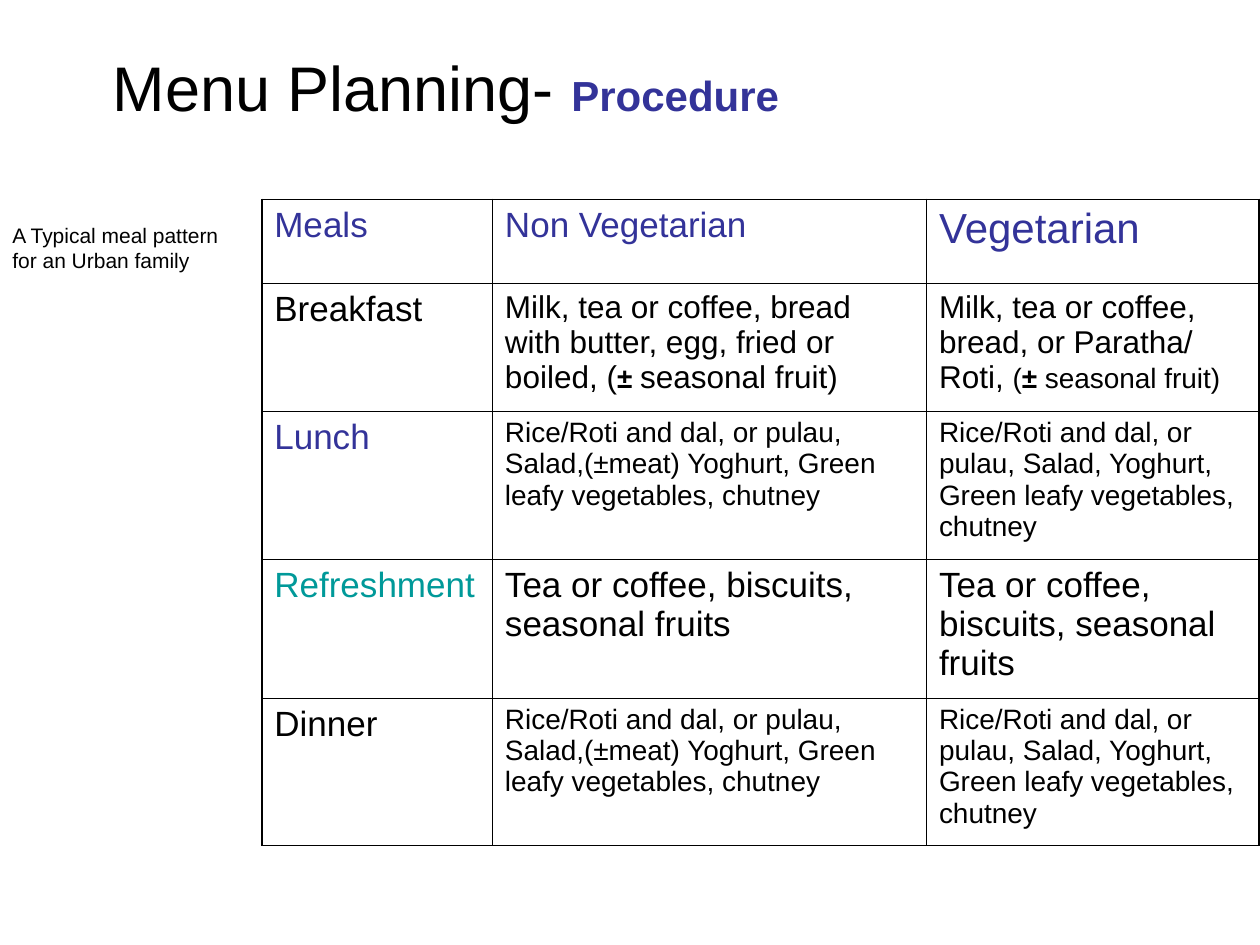
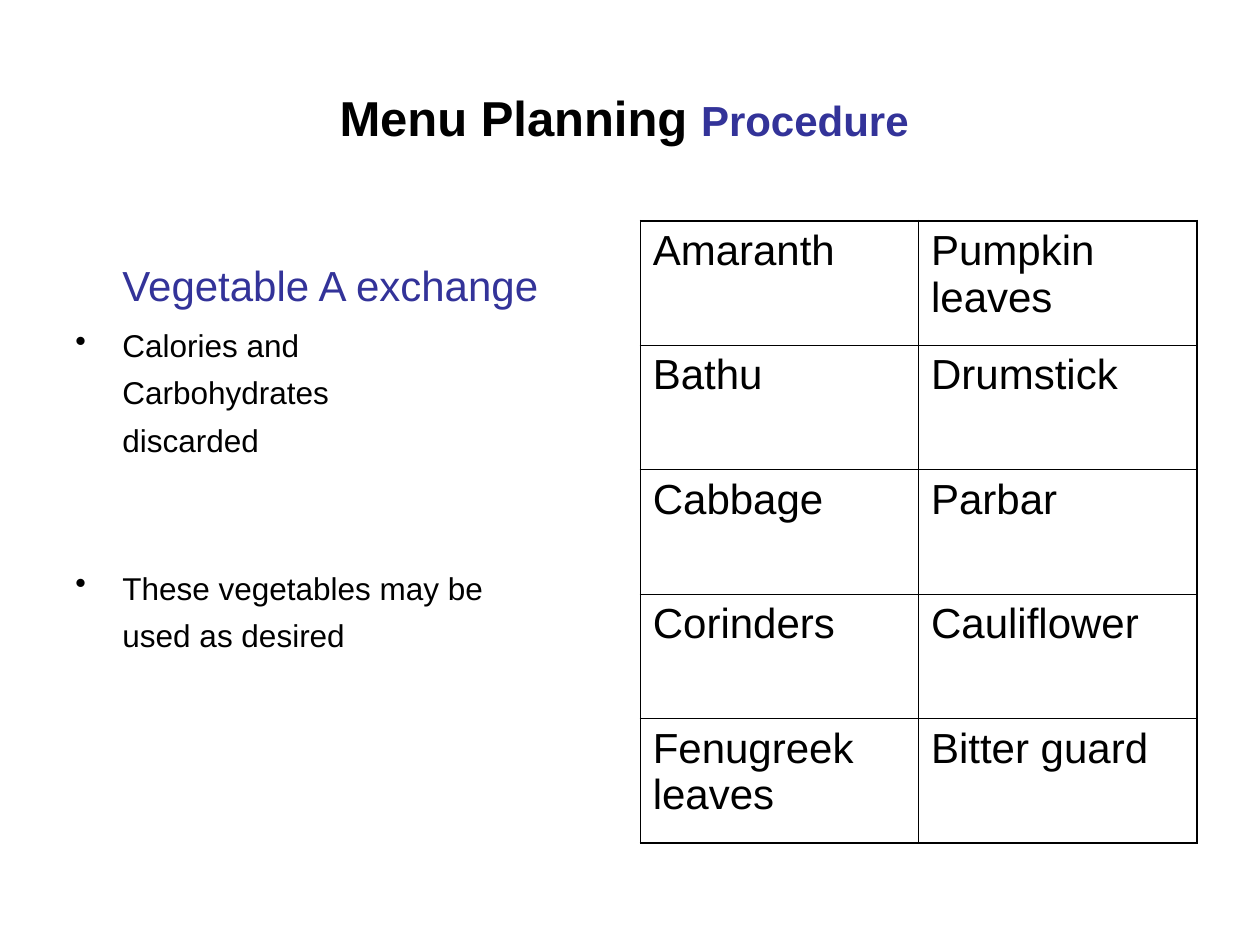
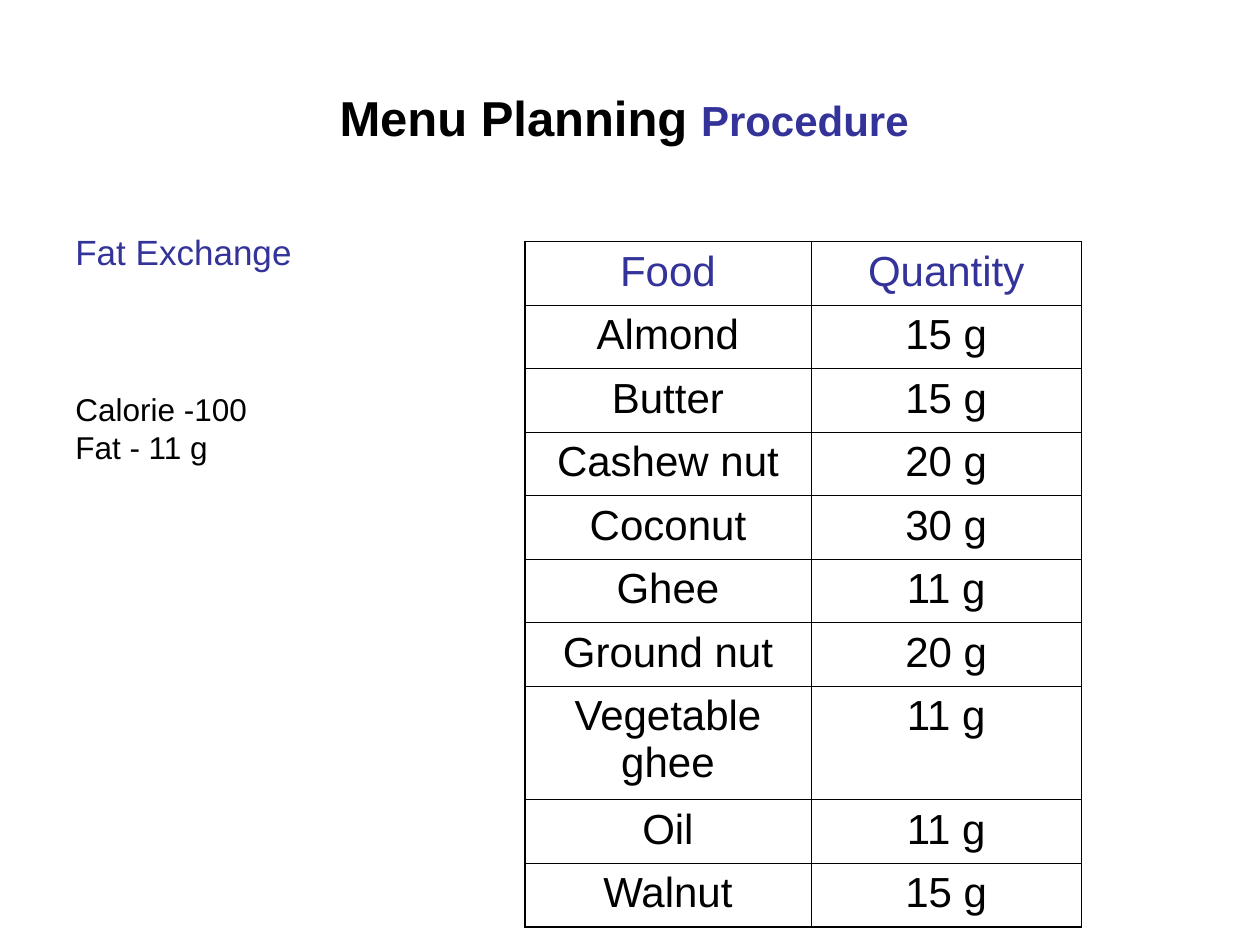
from lxml import etree
from pptx import Presentation
from pptx.dml.color import RGBColor
from pptx.enum.text import MSO_ANCHOR, PP_ALIGN
from pptx.oxml.ns import qn
from pptx.util import Cm, Pt

LEFT = PP_ALIGN.LEFT
CENTER = PP_ALIGN.CENTER
TOP = MSO_ANCHOR.TOP
MIDDLE = MSO_ANCHOR.MIDDLE

BLACK = RGBColor(0x00, 0x00, 0x00)
INDIGO = RGBColor(0x33, 0x33, 0x99)
TEAL = RGBColor(0x00, 0x99, 0x99)

FONT = "Arial"
OUTER_LINE = Pt(1.08)
INNER_LINE = Pt(0.45)
MARGIN_X = Cm(0.25)
MARGIN_Y = Cm(0.13)
MARGIN_LEFT = Cm(1.27)
BODY_TOP = Cm(4.45)
BODY_WIDTH = Cm(11.23)
BODY_HEIGHT = Cm(12.57)
HANGING_INDENT = Cm(0.95)


def write_text(text_frame, *parts, size=18, color=BLACK, bold=False, alignment=LEFT,
               space_before=0, line_spacing=None, indent=0, bullet=None):
    paragraph = text_frame.paragraphs[0]
    if paragraph.runs:
        paragraph = text_frame.add_paragraph()
        paragraph.space_before = Pt(space_before)
    paragraph.alignment = alignment
    if line_spacing:
        paragraph.line_spacing = line_spacing
    properties = paragraph._p.get_or_add_pPr()
    properties.set("marL", str(indent))
    properties.set("indent", str(-indent if bullet else 0))
    if bullet:
        etree.SubElement(properties, qn("a:buChar"), char=bullet)
    for part in parts:
        text, changes = (part, {}) if isinstance(part, str) else part
        run = paragraph.add_run()
        run.text = text
        run.font.name = FONT
        run.font.size = Pt(changes.get("size", size))
        run.font.bold = changes.get("bold", bold)
        run.font.color.rgb = changes.get("color", color)


def add_text_box(slide, left, top, width, height, anchor=TOP, margin_top=MARGIN_Y):
    text_frame = slide.shapes.add_textbox(left, top, width, height).text_frame
    text_frame.word_wrap = True
    text_frame.vertical_anchor = anchor
    text_frame.margin_left = text_frame.margin_right = MARGIN_X
    text_frame.margin_top = margin_top
    text_frame.margin_bottom = MARGIN_Y
    return text_frame


def add_title(slide, title, subtitle, size=28, bold=True, width=Cm(22.86), height=Cm(3.18)):
    text_frame = add_text_box(slide, MARGIN_LEFT, Cm(0.76), width, height, anchor=MIDDLE)
    write_text(text_frame, title, (subtitle, {"size": 24, "color": INDIGO, "bold": True}),
               size=size, bold=bold, alignment=CENTER)


def set_borders(cell, outer_sides):
    properties = cell._tc.get_or_add_tcPr()
    for side in "LRTB":
        width = OUTER_LINE if side in outer_sides else INNER_LINE
        line = etree.SubElement(properties, qn(f"a:ln{side}"), w=str(width))
        fill = etree.SubElement(line, qn("a:solidFill"))
        etree.SubElement(fill, qn("a:srgbClr"), val=str(BLACK))


def add_table(slide, left, top, column_widths, row_heights, rows, alignment=LEFT):
    table = slide.shapes.add_table(len(rows), len(column_widths), left, top,
                                   sum(column_widths), sum(row_heights)).table
    table.first_row = table.horz_banding = False
    for column, width in zip(table.columns, column_widths):
        column.width = width
    last_row, last_column = len(rows) - 1, len(column_widths) - 1
    for row_index, (height, row) in enumerate(zip(row_heights, rows)):
        table.rows[row_index].height = height
        for column_index, (parts, style) in enumerate(row):
            cell = table.cell(row_index, column_index)
            edges = {"L": column_index == 0, "R": column_index == last_column,
                     "T": row_index == 0, "B": row_index == last_row}
            set_borders(cell, [side for side, is_outer in edges.items() if is_outer])
            cell.fill.background()
            cell.margin_left = cell.margin_right = MARGIN_X
            cell.margin_top = cell.margin_bottom = MARGIN_Y
            write_text(cell.text_frame, *parts, alignment=alignment, **style)


def styled(*parts, size=24, color=BLACK):
    return parts, {"size": size, "color": color}


def build_meal_pattern(slide):
    add_title(slide, "Menu Planning- ", "Procedure", size=36, bold=False,
              width=Cm(15.44), height=Cm(1.98))
    note = add_text_box(slide, 0, BODY_TOP, Cm(5.28), Cm(1.7))
    for line in ("A Typical meal pattern", "for an Urban family"):
        write_text(note, line, size=12, space_before=3, line_spacing=0.8)

    plus_minus = ("± ", {"size": 16, "bold": True})
    main_meal = [
        styled("Rice/Roti and dal, or pulau, Salad,(±meat) Yoghurt, "
               "Green leafy vegetables, chutney", size=16),
        styled("Rice/Roti and dal, or pulau, Salad, Yoghurt, "
               "Green leafy vegetables, chutney", size=16),
    ]
    snack = styled("Tea or coffee, biscuits, seasonal fruits", size=20)
    rows = [
        [styled("Meals", size=20, color=INDIGO),
         styled("Non Vegetarian", size=20, color=INDIGO),
         styled("Vegetarian", color=INDIGO)],
        [styled("Breakfast", size=20),
         styled("Milk, tea or coffee, bread with butter, egg, fried or boiled, (",
                plus_minus, "seasonal fruit)", size=18),
         styled("Milk, tea or coffee, bread, or Paratha/ Roti, ", ("(", {"size": 16}),
                plus_minus, ("seasonal fruit)", {"size": 16}), size=18)],
        [styled("Lunch", size=20, color=INDIGO), *main_meal],
        [styled("Refreshment", size=20, color=TEAL), snack, snack],
        [styled("Dinner", size=20), *main_meal],
    ]
    add_table(slide, Cm(5.28), Cm(4.02), [Cm(4.65), Cm(8.75), Cm(6.7)],
              [Cm(1.69), Cm(2.58), Cm(2.98), Cm(2.8), Cm(2.95)], rows)


def build_vegetable_exchange(slide):
    add_title(slide, "Menu Planning ", "Procedure ")
    body = add_text_box(slide, MARGIN_LEFT, BODY_TOP, BODY_WIDTH, BODY_HEIGHT,
                        margin_top=Cm(0.78))
    write_text(body, "Vegetable A exchange", size=24, color=INDIGO, indent=HANGING_INDENT)
    for line, bullet, space_before in (
        ("Calories and", "•", 9.5),
        ("Carbohydrates", None, 5.3),
        ("discarded", None, 5.3),
        ("These vegetables may be", "•", 63),
        ("used as desired", None, 5.3),
    ):
        write_text(body, line, bullet=bullet, space_before=space_before, indent=HANGING_INDENT)

    vegetables = [
        ("Amaranth", "Pumpkin leaves"),
        ("Bathu", "Drumstick"),
        ("Cabbage", "Parbar"),
        ("Corinders", "Cauliflower"),
        ("Fenugreek leaves", "Bitter guard"),
    ]
    rows = [[styled(name) for name in pair] for pair in vegetables]
    add_table(slide, Cm(12.91), BODY_TOP, [Cm(5.61)] * 2, [Cm(2.51)] * len(rows), rows)


def build_fat_exchange(slide):
    add_title(slide, "Menu Planning ", "Procedure ")
    body = add_text_box(slide, MARGIN_LEFT, BODY_TOP, BODY_WIDTH, BODY_HEIGHT,
                        margin_top=Cm(0.2))
    write_text(body, "Fat Exchange", size=20, color=INDIGO)
    values = add_text_box(slide, MARGIN_LEFT, Cm(6.99), Cm(5.08), Cm(3.71),
                          margin_top=Cm(0.87))
    for line in ("Calorie -100", "Fat - 11 g"):
        write_text(values, line)

    foods = [
        ("Almond", 15), ("Butter", 15), ("Cashew nut", 20), ("Coconut", 30), ("Ghee", 11),
        ("Ground nut", 20), ("Vegetable ghee", 11), ("Oil", 11), ("Walnut", 15),
    ]
    rows = [[styled(heading, color=INDIGO) for heading in ("Food", "Quantity")]]
    rows += [[styled(food), styled(f"{grams} g")] for food, grams in foods]
    row_heights = [Cm(1.28)] + [Cm(2.28 if food == "Vegetable ghee" else 1.28)
                                for food, _ in foods]
    add_table(slide, Cm(10.58), Cm(4.87), [Cm(5.77), Cm(5.45)], row_heights, rows,
              alignment=CENTER)


def main():
    presentation = Presentation()
    presentation.slide_width = Cm(25.4)
    presentation.slide_height = Cm(19.05)
    blank_layout = presentation.slide_layouts[6]
    for build in (build_meal_pattern, build_vegetable_exchange, build_fat_exchange):
        build(presentation.slides.add_slide(blank_layout))
    presentation.save("out.pptx")


if __name__ == "__main__":
    main()
